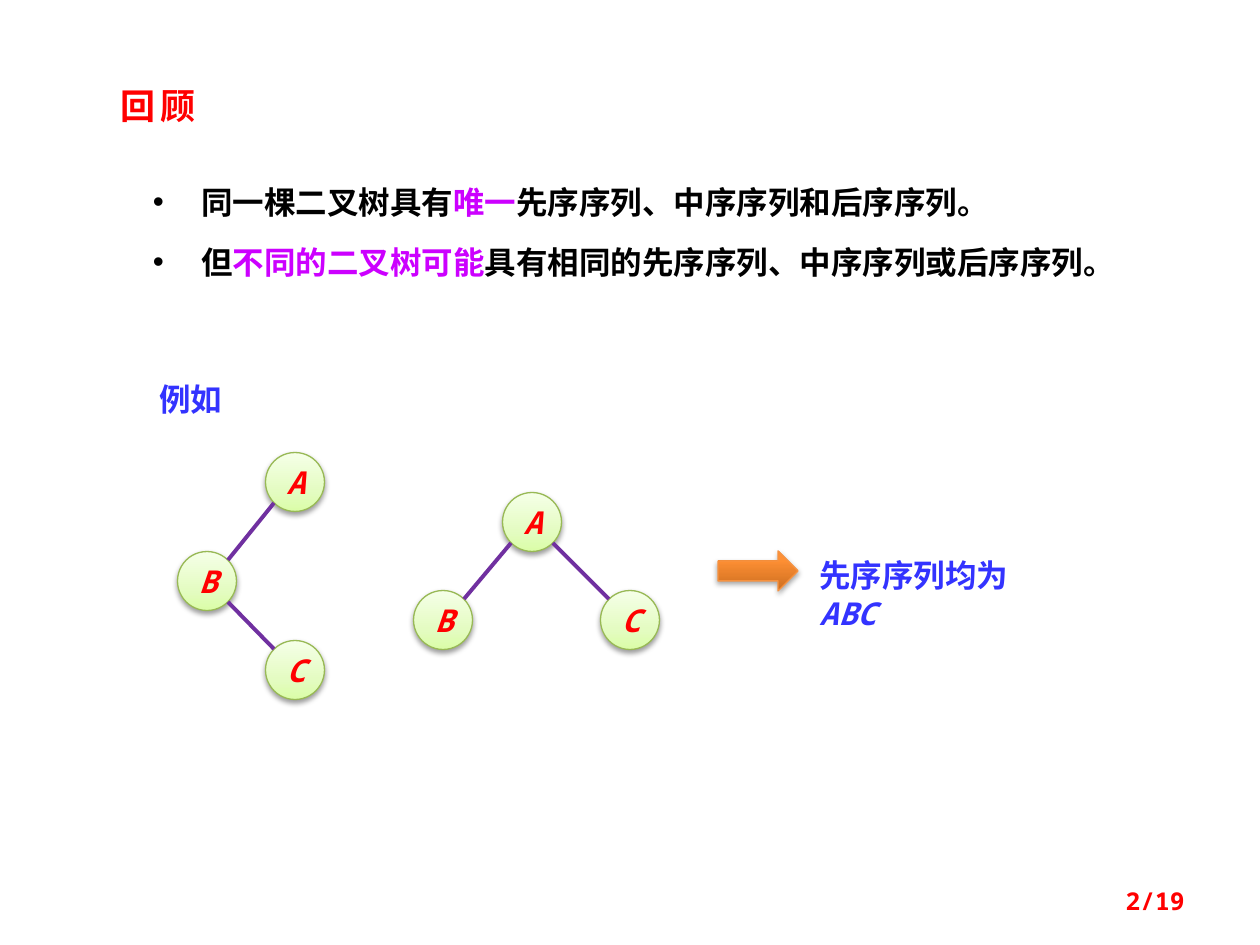
from math import copysign

from lxml.etree import SubElement
from pptx import Presentation
from pptx.dml.color import RGBColor
from pptx.enum.shapes import MSO_CONNECTOR, MSO_SHAPE
from pptx.enum.text import MSO_ANCHOR, PP_ALIGN
from pptx.oxml.ns import qn
from pptx.util import Emu, Pt

EMU_PER_PX = 914400 / 126
MONO = "Noto Sans Mono"
CJK = "Noto Sans CJK SC"
RED, BLUE, BLACK, MAGENTA = "FF0000", "3333FF", "000000", "CC00FF"
NODE_SIZE = 59
GREEN_STOPS = [(0, "DAFDA7"), (35, "E4FCC2"), (100, "F5FFE7")]
ORANGE_STOPS = [(0, "CC6E20"), (80, "FF9034"), (100, "FF9136")]


def px(length):
    return Emu(round(length * EMU_PER_PX))


def color(value):
    return RGBColor.from_string(value)


class SlideBuilder:
    """Holds the text style and the current slide, and adds its elements."""

    def __init__(self, slide):
        self.slide = slide

    def style(self, paragraph, ink, size=18, name=MONO, italic=None, spacing=None):
        font = paragraph.font
        font.size, font.bold, font.italic, font.name = Pt(size), True, italic, name
        font.color.rgb = color(ink)
        properties = paragraph._p.pPr.find(qn("a:defRPr"))
        SubElement(properties, qn("a:ea"), typeface=CJK)
        if spacing:
            properties.set("spc", str(spacing * 100))

    def title(self, text, left, top, width, height):
        shape = self.slide.shapes.title
        shape.left, shape.top, shape.width, shape.height = map(px, (left, top, width, height))
        frame = shape.text_frame
        frame.text, frame.word_wrap = text, False
        frame.vertical_anchor = MSO_ANCHOR.TOP
        paragraph = frame.paragraphs[0]
        paragraph.alignment = PP_ALIGN.LEFT
        self.style(paragraph, RED, 20, CJK, spacing=3)

    def box(self, left, top, width, height):
        frame = self.slide.shapes.add_textbox(*map(px, (left, top, width, height))).text_frame
        frame.word_wrap = True
        return frame

    def label(self, parts, left, top, width, height, ink=BLUE, size=18,
              align=PP_ALIGN.LEFT, anchor=MSO_ANCHOR.TOP):
        frame = self.box(left, top, width, height)
        frame.vertical_anchor = anchor
        paragraph = frame.paragraphs[0]
        paragraph.alignment = align
        for text, italic in parts:
            run = paragraph.add_run()
            run.text = text
            if italic:
                run.font.italic = True
        self.style(paragraph, ink, size)

    def bullets(self, items, left, top, width, height):
        frame = self.box(left, top, width, height)
        frame.margin_left = px(25)
        frame.margin_top = frame.margin_bottom = px(15)
        for index, parts in enumerate(items):
            paragraph = frame.add_paragraph() if index else frame.paragraphs[0]
            paragraph.alignment = PP_ALIGN.JUSTIFY
            paragraph.line_spacing = Pt(28)
            if index:
                paragraph.space_before = Pt(6)
            properties = paragraph._p.get_or_add_pPr()
            properties.set("marL", str(px(48)))
            properties.set("indent", str(px(-48)))
            SubElement(properties, qn("a:buFont"), typeface="Arial")
            SubElement(properties, qn("a:buChar"), char="•")
            self.style(paragraph, BLACK)
            for text, ink in parts:
                run = paragraph.add_run()
                run.text = text
                run.font.color.rgb = color(ink)

    def glossy(self, kind, left, top, width, height, stops, outline, opacity):
        shape = self.slide.shapes.add_shape(kind, *map(px, (left, top, width, height)))
        shape.fill.gradient()
        shape.fill.gradient_angle = 90
        stop_list = shape._element.spPr.find(".//" + qn("a:gsLst"))
        stop_list.clear()
        for position, value in stops:
            stop = SubElement(stop_list, qn("a:gs"), pos=str(position * 1000))
            SubElement(stop, qn("a:srgbClr"), val=value)
        shape.line.color.rgb = color(outline)
        shape.line.width = Pt(0.75)
        shape.shadow.inherit = False
        shadow = SubElement(shape._element.spPr.find(qn("a:effectLst")), qn("a:outerShdw"),
                            blurRad=str(Pt(3.1)), dist=str(Pt(1.7)), dir="5400000", rotWithShape="0")
        shade = SubElement(shadow, qn("a:srgbClr"), val=BLACK)
        SubElement(shade, qn("a:alpha"), val=str(opacity * 1000))
        return shape

    def node(self, letter, center):
        left, top = (value - NODE_SIZE / 2 for value in center)
        shape = self.glossy(MSO_SHAPE.OVAL, left, top, NODE_SIZE, NODE_SIZE, GREEN_STOPS, "98B955", 38)
        frame = shape.text_frame
        frame.text = letter
        frame.vertical_anchor = MSO_ANCHOR.MIDDLE
        frame.paragraphs[0].alignment = PP_ALIGN.CENTER
        self.style(frame.paragraphs[0], RED, italic=True)

    def edge(self, parent, child):
        reach = 21
        side = copysign(reach, child[0] - parent[0])
        ends = parent[0] + side, parent[1] + reach, child[0] - side, child[1] - reach
        line = self.slide.shapes.add_connector(MSO_CONNECTOR.STRAIGHT, *map(px, ends))
        line.line.color.rgb = color("7030A0")
        line.line.width = Pt(2.25)
        SubElement(line._element.spPr, qn("a:effectLst"))

    def tree(self, centers, edges):
        for letter, center in centers.items():
            self.node(letter, center)
        for parent, child in edges:
            self.edge(centers[parent], centers[child])


def main():
    presentation = Presentation()
    presentation.slide_width, presentation.slide_height = px(1260), px(945)
    builder = SlideBuilder(presentation.slides.add_slide(presentation.slide_layouts[5]))
    builder.title("回顾", 108, 78, 118, 55)
    builder.bullets([
        [("同一棵二叉树具有", BLACK), ("唯一", MAGENTA), ("先序序列、中序序列和后序序列。", BLACK)],
        [("但", BLACK), ("不同的二叉树可能", MAGENTA),
         ("具有相同的先序序列、中序序列或后序序列。", BLACK)],
    ], 128, 157, 1014, 140)
    builder.label([("例如", False)], 147, 374, 207, 50)
    builder.tree({"A": (295, 482), "B": (207, 581), "C": (295, 670)}, ["AB", "BC"])
    builder.tree({"A": (532, 522), "B": (443, 620), "C": (630, 620)}, ["AB", "AC"])
    builder.glossy(MSO_SHAPE.RIGHT_ARROW, 718, 551, 80, 40, ORANGE_STOPS, "F69240", 35)
    builder.label([("先序序列均为", False), ("ABC", True)], 807, 550, 260, 50)
    builder.label([("2/19", False)], 903, 876, 294, 50, RED, 14, PP_ALIGN.RIGHT, MSO_ANCHOR.MIDDLE)
    presentation.save("out.pptx")


if __name__ == "__main__":
    main()
